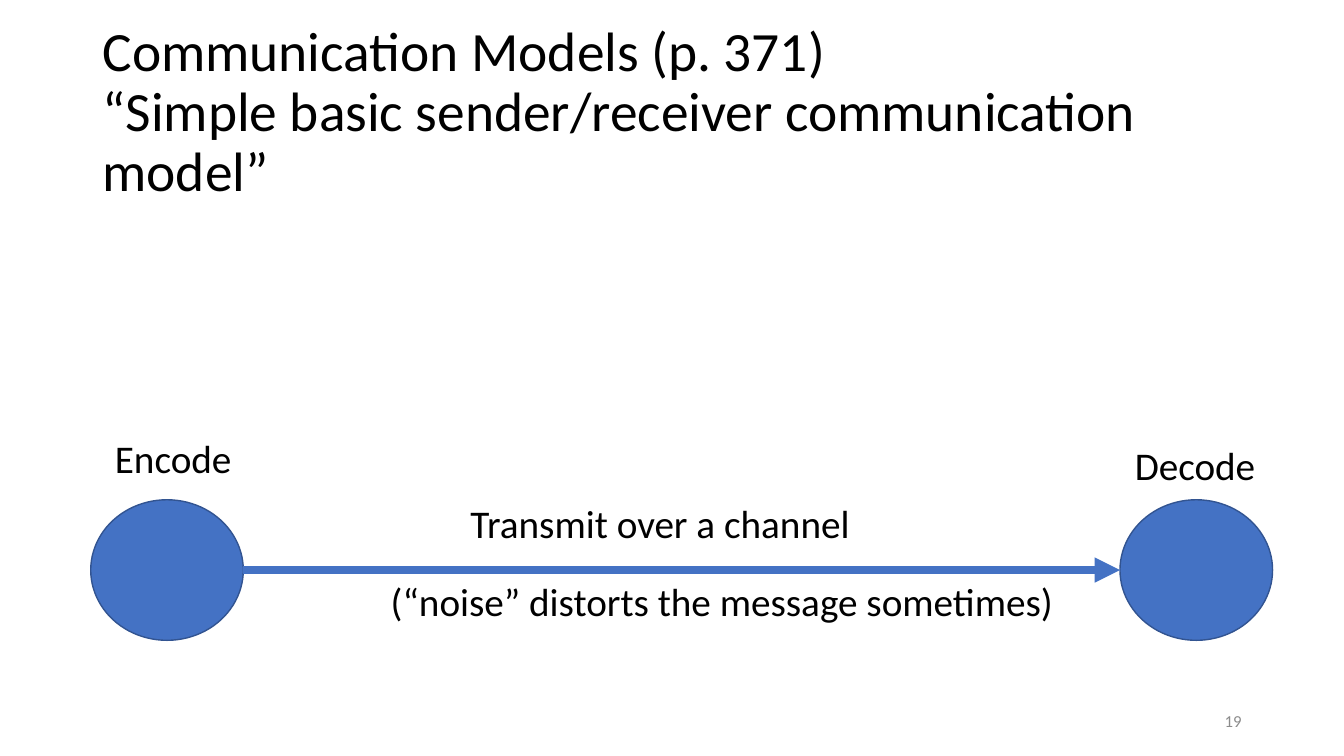
"""Build the sender/receiver communication model slide."""
import pptx
import pptx.util
import pptx.dml.color
import pptx.enum.shapes
import pptx.enum.text
import pptx.oxml.ns
from lxml import etree

Pt = pptx.util.Pt
ALIGN = pptx.enum.text.PP_ALIGN
ANCHOR = pptx.enum.text.MSO_ANCHOR
FIT = pptx.enum.text.MSO_AUTO_SIZE

SLIDE_SIZE = (960, 540)
TITLE = "Communication Models (p. 371)\v“Simple basic sender/receiver communication model”"
TITLE_BOX = (66, 28.8, 828, 104.4)
PAGE = "19"
PAGE_BOX = (678, 500.4, 216, 28.8)
LABELS = [
    ("Encode", 75, 306.8, 98.6),
    ("Decode", 803.5, 311.8, 101.5),
    ("Transmit over a channel", 329, 353, 288),
    ("(“noise” distorts the message sometimes)", 272, 409, 492.5),
]
LABEL_HEIGHT = 41
SENDER_LEFT, RECEIVER_LEFT = 64.8, 800
PARTY_TOP, PARTY_WIDTH, PARTY_HEIGHT = 357, 109, 100.4
BLUE, OUTLINE, BLACK, GREY = "4472C4", "325491", "000000", "8C8C8C"


def color(value):
    return pptx.dml.color.RGBColor.from_string(value)


def write(frame, wording, size, ink, align=ALIGN.LEFT):
    frame.text = wording
    paragraph = frame.paragraphs[0]
    paragraph.alignment = align
    paragraph.font.name = "Calibri"
    paragraph.font.size = Pt(size)
    paragraph.font.color.rgb = color(ink)
    return paragraph


def add_party(slide, left):
    party = slide.shapes.add_shape(
        pptx.enum.shapes.MSO_SHAPE.OVAL,
        Pt(left), Pt(PARTY_TOP), Pt(PARTY_WIDTH), Pt(PARTY_HEIGHT))
    party.shadow.inherit = False
    party.fill.solid()
    party.fill.fore_color.rgb = color(BLUE)
    party.line.color.rgb = color(OUTLINE)
    party.line.width = Pt(1)


def add_channel(slide):
    middle = Pt(PARTY_TOP + PARTY_HEIGHT / 2)
    channel = slide.shapes.add_connector(
        pptx.enum.shapes.MSO_CONNECTOR.STRAIGHT,
        Pt(SENDER_LEFT + PARTY_WIDTH), middle, Pt(RECEIVER_LEFT), middle)
    channel.line.color.rgb = color(BLUE)
    channel.line.width = Pt(6)
    qn = pptx.oxml.ns.qn
    properties = channel.element.spPr
    etree.SubElement(properties.find(qn("a:ln")), qn("a:tailEnd"), type="triangle")
    etree.SubElement(properties, qn("a:effectLst"))


def main():
    deck = pptx.Presentation()
    deck.slide_width, deck.slide_height = map(Pt, SLIDE_SIZE)
    slide = deck.slides.add_slide(deck.slide_layouts[5])

    title = slide.shapes.title
    title.left, title.top, title.width, title.height = map(Pt, TITLE_BOX)
    title.text_frame.auto_size = FIT.NONE
    title.text_frame.vertical_anchor = ANCHOR.MIDDLE
    write(title.text_frame, TITLE, 39.6, BLACK).line_spacing = 0.9

    page = slide.shapes.add_textbox(*map(Pt, PAGE_BOX)).text_frame
    page.word_wrap = True
    page.vertical_anchor = ANCHOR.MIDDLE
    write(page, PAGE, 12, GREY, ALIGN.RIGHT)

    for left in (SENDER_LEFT, RECEIVER_LEFT):
        add_party(slide, left)
    add_channel(slide)

    for wording, left, top, width in LABELS:
        label = slide.shapes.add_textbox(
            Pt(left), Pt(top), Pt(width), Pt(LABEL_HEIGHT)).text_frame
        label.word_wrap = False
        label.auto_size = FIT.SHAPE_TO_FIT_TEXT
        write(label, wording, 28, BLACK)

    deck.save("out.pptx")


if __name__ == "__main__":
    main()
